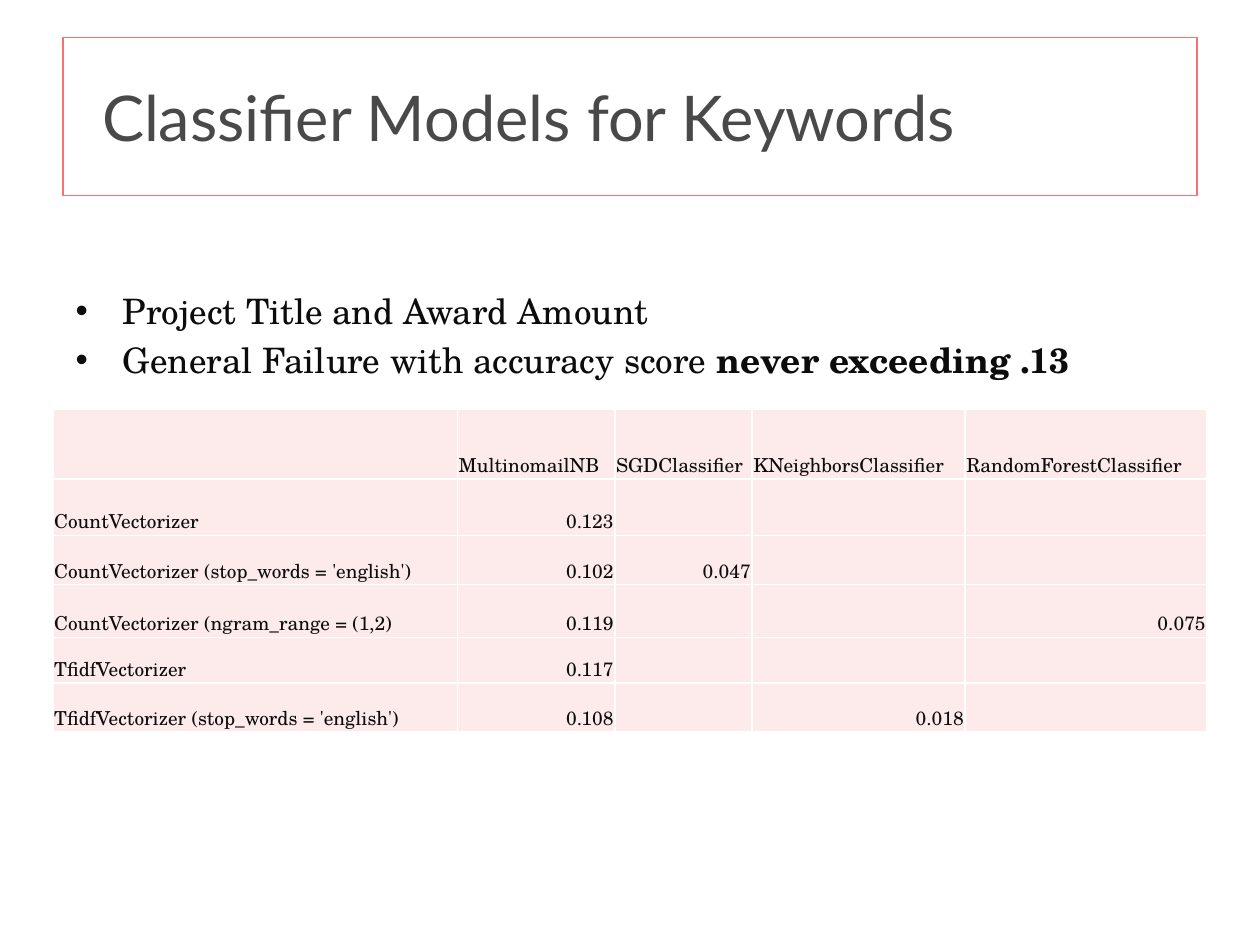
from typing import Any, NamedTuple

from lxml.etree import SubElement as Sub
from pptx import Presentation as Deck
from pptx.dml.color import RGBColor as Rgb
from pptx.enum.text import MSO_ANCHOR as Anchor, PP_ALIGN as Align
from pptx.oxml.ns import qn
from pptx.util import Inches, Pt

INK = Rgb(0x0C, 0x0C, 0x0C)
SLATE = Rgb(0x49, 0x49, 0x49)
CORAL = Rgb(0xF7, 0x71, 0x71)
BLUSH = Rgb(0xFD, 0xEB, 0xEB)
WHITE = Rgb(0xFF, 0xFF, 0xFF)
SERIF = "TeX Gyre Schola"
UNIT = Inches(0.05)

HEAD = {"name": "Lato", "size": Pt(36), "color": SLATE}
LIST = {"name": SERIF, "size": Pt(20), "color": INK}
CELL = {"name": SERIF, "size": Pt(11), "color": INK}
INSET = {
    "margin_left": Inches(0.01),
    "margin_right": Inches(0.01),
    "margin_top": Inches(0.01),
    "margin_bottom": 0,
    "vertical_anchor": Anchor.BOTTOM,
}


class Box(NamedTuple):
    col: float
    row: float
    wide: float
    high: float


class Line(NamedTuple):
    label: str
    high: float
    marks: tuple[str, ...]


TITLE = Box(10, 6, 180, 25)
BODY = Box(10, 45, 180, 89)
TABLE = Box(8.4, 65, 183.2, 51.2)
COLS = (64.2, 25, 21.8, 33.8, 38.4)
LINES = (
    Line("", 11, ("MultinomailNB", "SGDClassifier", "KNeighborsClassifier",
                  "RandomForestClassifier")),
    Line("CountVectorizer", 9, ("0.123", "", "", "")),
    Line("CountVectorizer (stop_words = 'english')", 7.8, ("0.102", "0.047", "", "")),
    Line("CountVectorizer (ngram_range = (1,2)", 8.4, ("0.119", "", "", "0.075")),
    Line("TfidfVectorizer", 7.2, ("0.117", "", "", "")),
    Line("TfidfVectorizer (stop_words = 'english')", 7.8, ("0.108", "", "0.018", "")),
)
BULLETS = (
    (("Project Title and Award Amount", False),),
    (("General Failure with accuracy score ", False), ("never exceeding .13", True)),
)


def span(count: float) -> int:
    """Turn grid units into a length."""
    return round(count * UNIT)


def put(item: Any, form: dict[str, Any]) -> None:
    """Set each attribute named in a format."""
    for key, val in form.items():
        setattr(item, key, val)


def ink(font: Any, form: dict[str, Any]) -> None:
    """Apply a text format to a font."""
    put(font, {key: val for key, val in form.items() if key != "color"})
    font.color.rgb = form["color"]


def place(shape: Any, box: Box) -> None:
    """Move a shape to its grid box."""
    put(shape, dict(zip(("left", "top", "width", "height"), map(span, box))))


def head(shape: Any) -> None:
    """Write the framed title."""
    place(shape, TITLE)
    shape.line.color.rgb = CORAL
    shape.line.width = Pt(0.75)
    frame = shape.text_frame
    put(frame, {"vertical_anchor": Anchor.MIDDLE, "margin_left": Inches(0.31)})
    para = frame.paragraphs[0]
    para.alignment = Align.LEFT
    run = para.add_run()
    run.text = "Classifier Models for Keywords"
    ink(run.font, HEAD)


def bullets(shape: Any) -> None:
    """Write the bullet list."""
    place(shape, BODY)
    frame = shape.text_frame
    for num, parts in enumerate(BULLETS):
        para = frame.add_paragraph() if num else frame.paragraphs[0]
        para.space_before = Pt(4)
        for text, bold in parts:
            run = para.add_run()
            run.text = text
            ink(run.font, LIST | {"bold": bold})


def edge(cell: Any) -> None:
    """Draw white borders round a cell."""
    props = cell._tc.get_or_add_tcPr()
    for side in ("lnL", "lnR", "lnT", "lnB"):
        line = Sub(props, qn(f"a:{side}"), w=str(Pt(1)))
        Sub(Sub(line, qn("a:solidFill")), qn("a:srgbClr"), val=str(WHITE))


def fill(cell: Any, text: str, side: Any) -> None:
    """Format one cell and write its text."""
    put(cell, INSET)
    edge(cell)
    cell.fill.solid()
    cell.fill.fore_color.rgb = BLUSH
    if text:
        para = cell.text_frame.paragraphs[0]
        para.alignment = side
        run = para.add_run()
        run.text = text
        ink(run.font, CELL)


def scores(slide: Any) -> None:
    """Add the table of accuracy scores."""
    grid = slide.shapes.add_table(len(LINES), len(COLS), *map(span, TABLE)).table
    put(grid, {"first_row": False, "horz_banding": False})
    for col, wide in zip(grid.columns, COLS):
        col.width = span(wide)
    for num, (row, line) in enumerate(zip(grid.rows, LINES)):
        row.height = span(line.high)
        for pos, text in enumerate((line.label, *line.marks)):
            fill(row.cells[pos], text, Align.RIGHT if num and pos else Align.LEFT)


def main() -> None:
    """Build and save the slide."""
    deck = Deck()
    put(deck, {"slide_width": span(200), "slide_height": span(150)})
    slide = deck.slides.add_slide(deck.slide_layouts[1])
    head(slide.shapes.title)
    bullets(slide.placeholders[1])
    scores(slide)
    deck.save("out.pptx")


if __name__ == "__main__":
    main()
